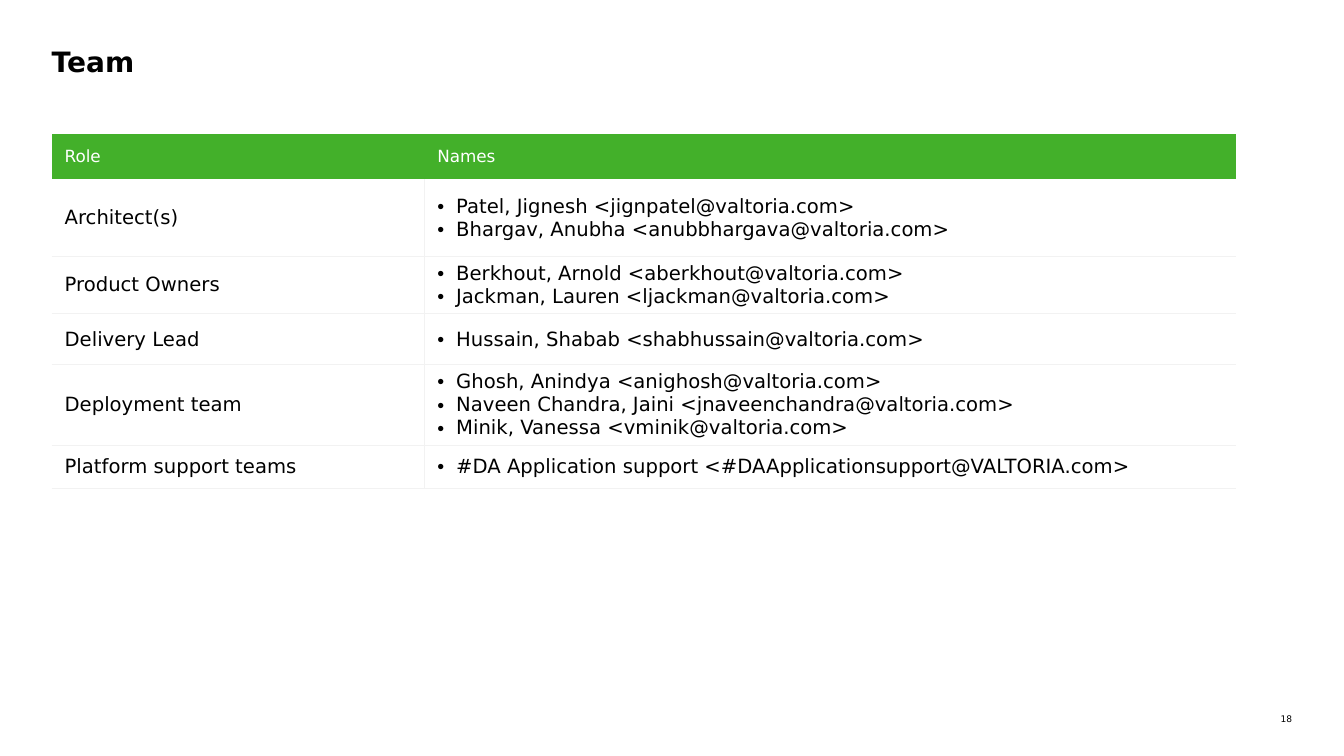
import lxml.etree
import pptx
import pptx.dml.color
import pptx.enum.text
import pptx.oxml.ns
import pptx.util

Pt = pptx.util.Pt
Align = pptx.enum.text.PP_ALIGN
Anchor = pptx.enum.text.MSO_ANCHOR
qn = pptx.oxml.ns.qn


def color(hex_string):
    return pptx.dml.color.RGBColor.from_string(hex_string)


class TeamSlide:
    FONT = "DejaVu Sans"
    BLACK, WHITE, GREEN, GRID = "000000", "FFFFFF", "43B02A", "F2F2F2"
    PLAIN_TABLE = "{2D5ABB26-0587-4C30-8999-92F81FD0307C}"

    def __init__(self, presentation):
        self.slide = presentation.slides.add_slide(presentation.slide_layouts[6])

    def style(self, paragraph, size, ink=BLACK, bold=False):
        for run in paragraph.runs:
            run.font.name = self.FONT
            run.font.size = Pt(size)
            run.font.bold = bold
            run.font.color.rgb = color(ink)

    def text(self, words, left, top, width, height, size, bold=False, align=Align.LEFT):
        frame = self.slide.shapes.add_textbox(
            Pt(left), Pt(top), Pt(width), Pt(height)).text_frame
        frame.word_wrap = True
        frame.margin_left = frame.margin_right = 0
        frame.margin_top = frame.margin_bottom = 0
        frame.text = words
        frame.paragraphs[0].alignment = align
        self.style(frame.paragraphs[0], size, bold=bold)

    def bullet(self, paragraph):
        properties = paragraph._p.get_or_add_pPr()
        properties.set("marL", str(Pt(13.5)))
        properties.set("indent", str(-Pt(13.5)))
        lxml.etree.SubElement(properties, qn("a:buFont"), typeface="Arial")
        lxml.etree.SubElement(properties, qn("a:buChar"), char="•")

    def border(self, cell, side):
        line = lxml.etree.SubElement(
            cell._tc.get_or_add_tcPr(), qn("a:ln" + side), w=str(Pt(0.75)))
        fill = lxml.etree.SubElement(line, qn("a:solidFill"))
        lxml.etree.SubElement(fill, qn("a:srgbClr"), val=self.GRID)

    def cell(self, cell, lines, size, ink, sides="", fill=None, bulleted=False):
        cell.vertical_anchor = Anchor.MIDDLE
        cell.margin_left = cell.margin_right = Pt(9.2)
        cell.margin_top = cell.margin_bottom = Pt(3.6)
        for side in sides:
            self.border(cell, side)
        if fill:
            cell.fill.solid()
            cell.fill.fore_color.rgb = color(fill)
        else:
            cell.fill.background()
        cell.text_frame.text = "\n".join(lines)
        for paragraph in cell.text_frame.paragraphs:
            if bulleted:
                self.bullet(paragraph)
            self.style(paragraph, size, ink)

    def table(self, header, members, left, top, widths, heights):
        table = self.slide.shapes.add_table(
            len(heights), len(widths), Pt(left), Pt(top),
            Pt(sum(widths)), Pt(sum(heights))).table
        table.first_row = table.horz_banding = False
        table._tbl.tblPr.find(qn("a:tableStyleId")).text = self.PLAIN_TABLE
        for column, width in zip(table.columns, widths):
            column.width = Pt(width)
        for row, height in zip(table.rows, heights):
            row.height = Pt(height)
        for index, heading in enumerate(header):
            self.cell(table.cell(0, index), [heading], 12, self.WHITE, fill=self.GREEN)
        for index, (role, names) in enumerate(members, start=1):
            # The first body row meets the green header without a top line
            top_side = "T" if index > 1 else ""
            self.cell(table.cell(index, 0), [role], 14, self.BLACK, "R" + top_side + "B")
            self.cell(table.cell(index, 1), names, 14, self.BLACK,
                      "L" + top_side + "B", bulleted=True)


def main():
    presentation = pptx.Presentation()
    presentation.slide_width, presentation.slide_height = Pt(960), Pt(540)
    team = TeamSlide(presentation)

    # Page number and title
    team.text("18", 898.5, 509.8, 24.5, 8, 6.5, align=Align.RIGHT)
    team.text("Team", 37, 31.7, 886, 54.7, 20, bold=True)

    # Roles and the people who hold them
    members = [
        ("Architect(s)", ["Patel, Jignesh <jignpatel@valtoria.com>",
                          "Bhargav, Anubha <anubbhargava@valtoria.com>"]),
        ("Product Owners", ["Berkhout, Arnold <aberkhout@valtoria.com>",
                            "Jackman, Lauren <ljackman@valtoria.com>"]),
        ("Delivery Lead", ["Hussain, Shabab <shabhussain@valtoria.com>"]),
        ("Deployment team", ["Ghosh, Anindya <anighosh@valtoria.com>",
                             "Naveen Chandra, Jaini <jnaveenchandra@valtoria.com>",
                             "Minik, Vanessa <vminik@valtoria.com>"]),
        ("Platform support teams",
         ["#DA Application support <#DAApplicationsupport@VALTORIA.com>"]),
    ]
    team.table(["Role", "Names"], members, 37, 95.8, [266.2, 579.6],
               [32.2, 55.3, 39.8, 36.5, 55.3, 30.5])

    presentation.save("out.pptx")


if __name__ == "__main__":
    main()
